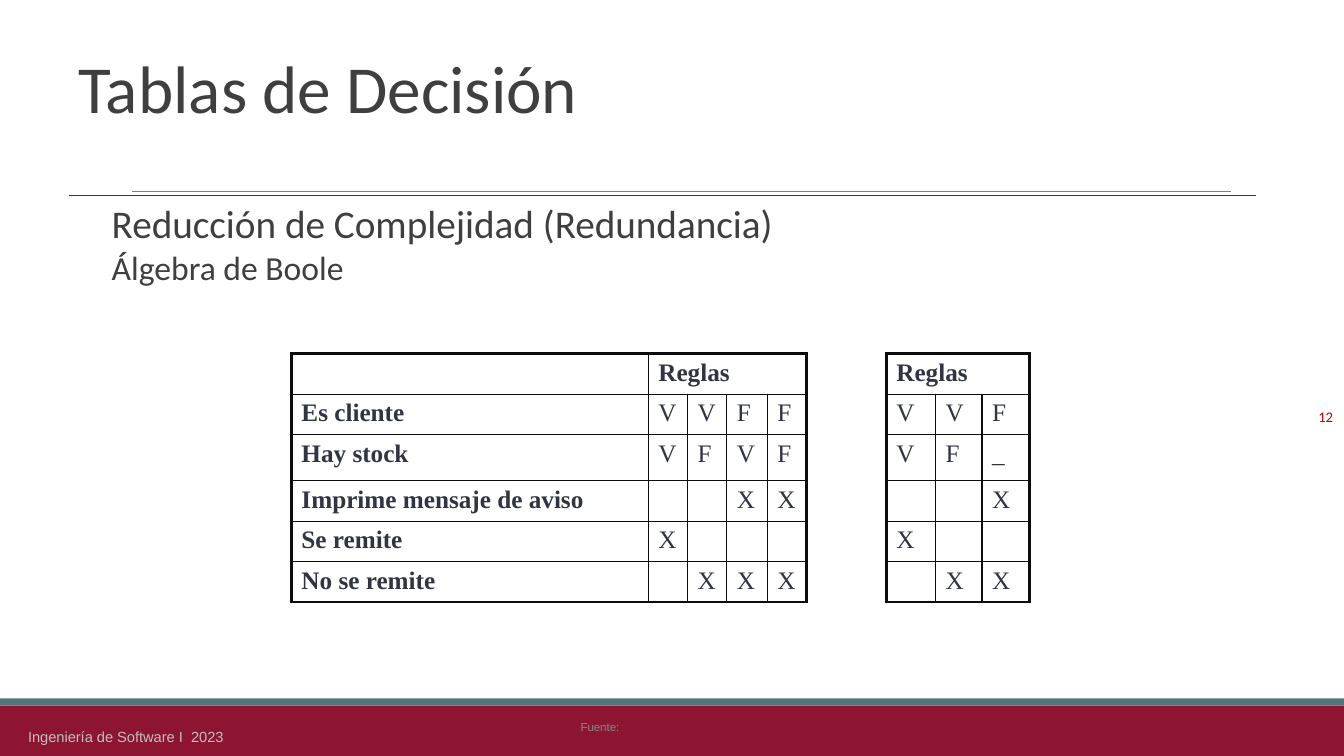
from copy import deepcopy
from dataclasses import dataclass

from lxml.etree import SubElement
from pptx import Presentation
from pptx.dml.color import RGBColor
from pptx.enum.shapes import MSO_CONNECTOR, MSO_SHAPE
from pptx.enum.text import MSO_ANCHOR, PP_ALIGN
from pptx.oxml.ns import qn
from pptx.util import Inches, Pt


@dataclass(frozen=True)
class Theme:
    wine: str = "8D1532"
    teal: str = "54747B"
    rule_gray: str = "7F7F7F"
    rule_red: str = "BF0000"
    border: str = "0C0C0C"
    thin: float = 1
    thick: float = 2.25
    title: tuple = ("Calibri", 48, "3F3F3F")
    topic: tuple = ("Calibri", 28, "3F3F3F")
    subtopic: tuple = ("Calibri", 24, "3F3F3F")
    number: tuple = ("Calibri", 10.5, "C00000")
    footer: tuple = ("Arial", 10.5, "BFBFBF")
    source: tuple = ("Arial", 8.2, "888888")
    table: tuple = ("Times New Roman", 18, "313543")


THEME = Theme()


def write(paragraph, text, style, bold=False, **formats):
    """Fill a paragraph, giving its breaks and its end the same type."""
    name, size, color = style
    first, *others = text.split("\n")
    run = paragraph.add_run()
    run.text = first
    for key, value in {"name": name, "size": Pt(size), "bold": bold}.items():
        setattr(run.font, key, value)
    run.font.color.rgb = RGBColor.from_string(color)
    for key, value in formats.items():
        setattr(paragraph, key, value)
    properties = run.font._element
    for _ in others:
        paragraph.add_line_break()
        paragraph._p[-1].append(deepcopy(properties))
    end = SubElement(paragraph._p, qn("a:endParaRPr"))
    for key, value in properties.attrib.items():
        end.set(key, value)
    for child in properties:
        end.append(deepcopy(child))
    if not text:
        paragraph._p.remove(run._r)


def add_text(slide, box, anchor=MSO_ANCHOR.TOP, wrap=True):
    frame = slide.shapes.add_textbox(*map(Inches, box)).text_frame
    frame.word_wrap = wrap
    frame.vertical_anchor = anchor
    return frame


def add_band(slide, box, color):
    band = slide.shapes.add_shape(MSO_SHAPE.RECTANGLE, *map(Inches, box))
    band.shadow.inherit = False
    band.fill.solid()
    band.fill.fore_color.rgb = RGBColor.from_string(color)
    band.line.fill.background()


def add_rule(slide, left, right, top, color):
    rule = slide.shapes.add_connector(
        MSO_CONNECTOR.STRAIGHT, *map(Inches, (left, top, right, top)))
    rule.line.color.rgb = RGBColor.from_string(color)
    rule.line.width = Pt(0.75)
    SubElement(rule._element.spPr, qn("a:effectLst"))


def set_borders(cell, widths):
    properties = cell._tc.get_or_add_tcPr()
    for side, width in widths.items():
        line = SubElement(properties, qn(f"a:ln{side}"), w=str(Pt(width)))
        fill = SubElement(line, qn("a:solidFill"))
        SubElement(fill, qn("a:srgbClr"), val=THEME.border)


def add_footer(slide, box):
    left, top, width, height = box
    add_band(slide, (left, top + 0.07, width, height - 0.07), THEME.wine)
    add_band(slide, (left, top, width, 0.07), THEME.teal)
    source = add_text(slide, (left + 5.66, top + 0.16, 0.72, 0.24), wrap=False)
    write(source.paragraphs[0], "Fuente:", THEME.source)
    course = add_text(slide, (left + 0.18, top + 0.24, 2.36, 0.23))
    write(course.paragraphs[0], "Ingeniería de Software I  2023", THEME.footer)


def add_title(slide, box):
    left, top, width, height = box
    bottom = top + height
    add_rule(slide, left + 0.63, left + width - 0.25, bottom - 0.04,
             THEME.rule_gray)
    add_rule(slide, left, left + width, bottom, THEME.rule_red)
    title = add_text(slide, box, MSO_ANCHOR.MIDDLE)
    write(title.paragraphs[0], "Tablas de Decisión \n", THEME.title,
          line_spacing=0.85)


def add_topics(slide, box):
    frame = add_text(slide, box)
    topics = [("Reducción de Complejidad (Redundancia)", THEME.topic, 0.28),
              ("Álgebra de Boole", THEME.subtopic, 0.45)]
    for level, (text, style, indent) in enumerate(topics):
        paragraph = frame.add_paragraph() if level else frame.paragraphs[0]
        write(paragraph, text, style, level=level + 1, line_spacing=0.85,
              space_before=Pt(4.5))
        properties = paragraph._p.get_or_add_pPr()
        properties.set("marL", str(Inches(indent)))
        properties.set("indent", str(-Inches(indent)))


def add_page_number(slide, box):
    frame = add_text(slide, box, MSO_ANCHOR.BOTTOM)
    write(frame.paragraphs[0], "12", THEME.number, alignment=PP_ALIGN.RIGHT)


def add_decision_table(slide, position, columns, heights, labels, rules):
    """Draw rules, one string per row, beside optional bold labels."""
    offset = 1 if labels else 0
    rows = [[""] * offset + ["Reglas"] + [""] * (len(columns) - offset - 1)]
    for index, marks in enumerate(rules):
        rows.append(labels[index:index + 1] + list(marks.replace(".", " ")))
    size = (sum(columns), sum(heights))
    table = slide.shapes.add_table(len(rows), len(columns),
                                   *map(Inches, (*position, *size))).table
    table.first_row = table.horz_banding = False
    for column, width in zip(table.columns, columns):
        column.width = Inches(width)
    for row, height in zip(table.rows, heights):
        row.height = Inches(height)
    table.cell(0, offset).merge(table.cell(0, len(columns) - 1))

    for r, texts in enumerate(rows):
        for c, text in enumerate(texts):
            cell = table.cell(r, c)
            span = cell.span_width if cell.is_merge_origin else 1
            outer = {"L": c == 0, "R": c + span == len(columns),
                     "T": r == 0, "B": r == len(rows) - 1}
            set_borders(cell, {side: THEME.thick if edge else THEME.thin
                               for side, edge in outer.items()})
            cell.fill.background()
            cell.margin_left = cell.margin_right = Inches(0.1)
            cell.margin_top = cell.margin_bottom = Inches(0.05)
            write(cell.text_frame.paragraphs[0], text.strip(), THEME.table,
                  bold=r == 0 or c < offset)


def main():
    presentation = Presentation()
    presentation.slide_width = Inches(13.33)
    presentation.slide_height = Inches(7.5)
    slide = presentation.slides.add_slide(presentation.slide_layouts[6])

    # Frame of the slide
    add_footer(slide, (0, 6.93, 13.33, 0.57))
    add_title(slide, (0.68, 0.7, 11.78, 1.24))
    add_page_number(slide, (10.12, 3.12, 3.2, 1.15))
    add_topics(slide, (1.01, 2, 10.71, 4.9))

    # Full table and its reduced form; a dot stands for an empty cell
    heights = [0.32, 0.46, 0.39, 0.31, 0.4]
    labels = ["Es cliente", "Hay stock", "Imprime mensaje de aviso",
              "Se remite", "No se remite"]
    add_decision_table(slide, (2.89, 3.51), [3.54, 0.39, 0.39, 0.4, 0.39],
                       [0.39] + heights, labels,
                       ["VVFF", "VFVF", "..XX", "X...", ".XXX"])
    add_decision_table(slide, (8.79, 3.51), [0.49, 0.46, 0.47],
                       [0.31] + heights, [],
                       ["VVF", "VF_", "..X", "X..", ".XX"])
    presentation.save("out.pptx")


if __name__ == "__main__":
    main()
